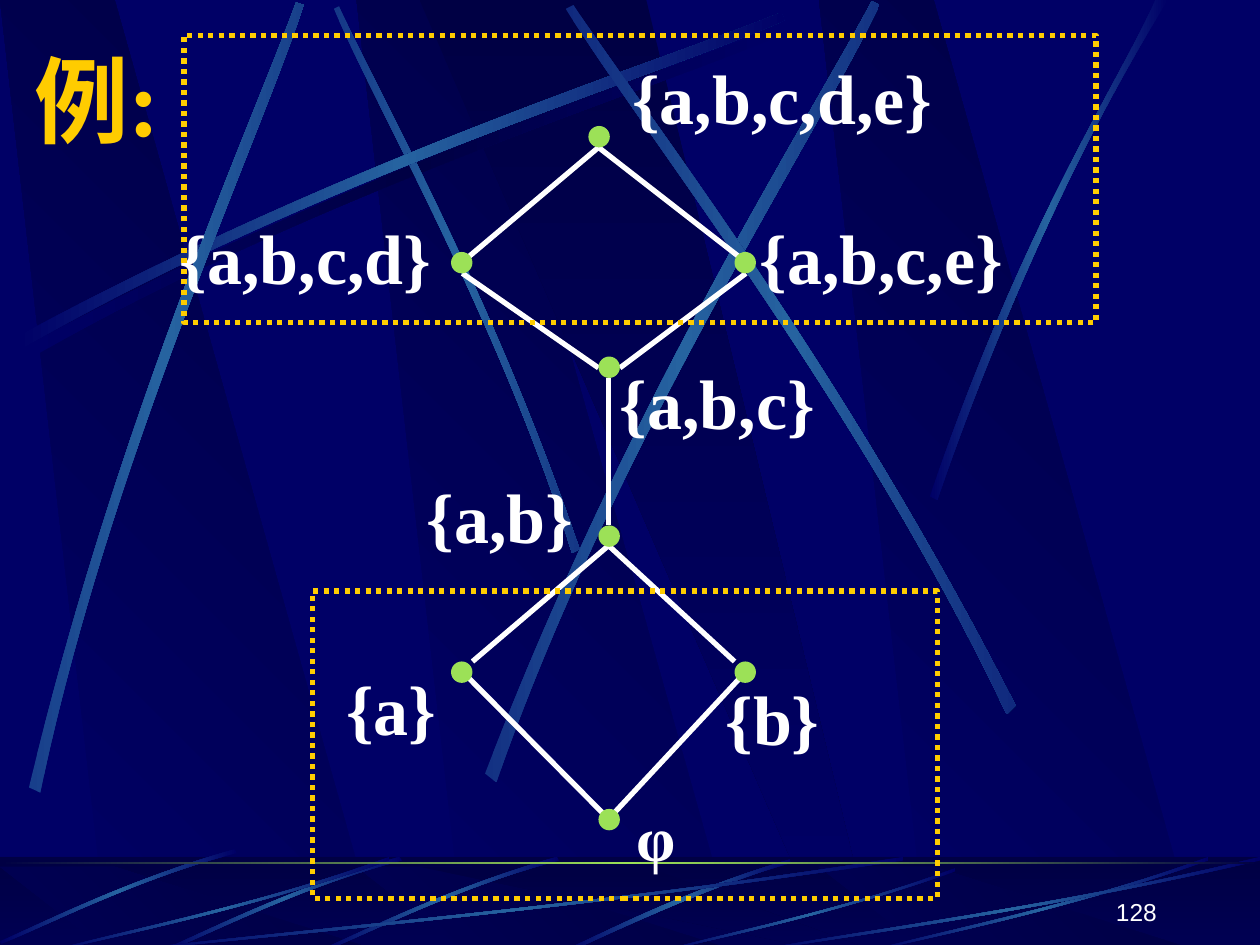
import pptx
import pptx.util
from lxml import etree
from pptx.dml.color import RGBColor
from pptx.enum.dml import MSO_LINE
from pptx.enum.shapes import MSO_CONNECTOR, MSO_SHAPE
from pptx.enum.text import MSO_ANCHOR, PP_ALIGN
from pptx.oxml.ns import qn
from pptx.util import Inches, Pt

NAVY = RGBColor(0x00, 0x00, 0x66)
DARK = RGBColor(0x00, 0x00, 0x44)
BLUE = RGBColor(0x26, 0x63, 0xA0)
GREEN = RGBColor(0x9C, 0xE1, 0x57)
GOLD = RGBColor(0xFF, 0xCC, 0x00)
WHITE = RGBColor(0xFF, 0xFF, 0xFF)

DOT = 0.17
NODES = [(4.67, 1), (3.58, 2), (5.83, 2), (4.75, 2.83), (4.75, 4.17),
         (3.58, 5.25), (5.83, 5.25), (4.75, 6.42)]
EDGES = [(4.75, 1.17, 3.67, 2.08), (4.75, 1.17, 5.92, 2.08),
         (3.67, 2.17, 4.75, 2.92), (5.92, 2.17, 4.92, 2.92),
         (4.83, 3, 4.83, 4.17),
         (4.83, 4.33, 3.75, 5.25), (4.83, 4.33, 5.83, 5.25),
         (3.67, 5.33, 4.83, 6.5), (5.92, 5.33, 4.83, 6.5)]
# text, left, top, width, height, size
LABELS = [("{a,b,c,d,e}", 4.92, 0.25, 2.68, 0.9, 40),
          ("{a,b,c,d}", 1.33, 1.52, 2.3, 0.9, 40),
          ("{a,b,c,e}", 5.93, 1.52, 2.23, 0.9, 40),
          ("{a,b,c}", 4.82, 2.67, 1.85, 0.9, 40),
          ("{a,b}", 3.29, 3.58, 1.46, 0.9, 40),
          ("{a}", 2.65, 5.1, 1.01, 0.9, 40),
          ("{b}", 5.66, 5.18, 1.05, 0.9, 40),
          ("φ", 4.95, 6.17, 0.46, 0.82, 36)]
FRAMES = [(2.48, 4.69, 4.96, 2.44), (1.46, 0.28, 7.24, 2.28)]

# Beams: x and share of the height for each corner
BEAM = [(0.86, 1), (3.02, 1), (0.91, 0), (0, 0)]
WEDGE = [(3.33, 0), (6.58, 1), (6.94, 1), (5.13, 0)]
BEAM_X = [2.83, 0, 6.5]

# Streaks: two cubic curves (there and back), left and width of the colour span
ARC = [(0.14, 2.67), (2.78, 1.25), (5.18, 0.51), (6.2, 0.1),
       (6.23, 0.16), (5.22, 0.61), (2.48, 1.43), (0.17, 2.77)]
SHADE = [(x + 0.06, y + 0.08) for x, y in ARC]
STREAKS = [
    ([(4.6, 4.36), (3.91, 2.34), (3.02, 0.77), (2.69, 0.05),
      (2.65, 0.07), (2.95, 0.79), (3.98, 2.58), (4.54, 4.39)], 1.41, 4.42),
    (ARC, 0.14, 6.08),
    ([(0.23, 6.25), (0.93, 3.34), (1.97, 1.05), (2.35, 0.02),
      (2.41, 0.04), (2.07, 1.09), (0.86, 3.68), (0.32, 6.29)], -1.71, 6.08),
    ([(3.85, 6.14), (4.98, 3.2), (6.38, 1.02), (6.92, 0.01),
      (6.98, 0.04), (6.49, 1.08), (4.86, 3.55), (3.94, 6.21)], 2.31, 6.24),
    ([(8.06, 5.6), (6.7, 2.93), (5.16, 0.95), (4.55, 0.04),
      (4.49, 0.07), (5.07, 1.01), (6.85, 3.25), (7.99, 5.67)], 3.23, 6.08),
    ([(7.38, 3.94), (8.14, 1.73), (8.88, 0.66), (9.17, 0),
      (9.27, 0), (8.36, 1.45), (7.69, 3.22), (7.44, 3.97)], 7.38, 1.89),
]
STEEP = [(6.27, 6.82), (5.37, 7.09), (4.77, 7.42), (4.48, 7.54),
         (4.53, 7.55), (4.9, 7.38), (5.71, 7), (6.28, 6.85)]
BENT = [(4.42, 6.8), (3.55, 7.05), (2.87, 7.4), (2.56, 7.53),
        (2.57, 7.55), (2.88, 7.43), (3.65, 7.03), (4.44, 6.83)]
BENT_BY = [(0, 0), (-1.25, 0), (-2.56, -0.06)]
# Unit curve of the flat floor streaks, then left, top, width, height of each
FLAT = [(1, 0.04), (0.57, 0.57), (0.17, 0.85), (0, 1),
        (0, 0.99), (0.17, 0.81), (0.62, 0.51), (1, 0)]
FLAT_AT = [(1, 6.8, 6.17, 0.75), (0.42, 6.8, 2.67, 0.75), (5.27, 6.89, 2.31, 0.66),
           (6.92, 6.8, 2.67, 0.75), (6, 6.8, 4, 0.75)]

deck = pptx.Presentation()
deck.slide_width, deck.slide_height = Inches(10), Inches(7.5)
layout = deck.slide_layouts[5]
slide = deck.slides.add_slide(layout)
slide.background.fill.solid()
slide.background.fill.fore_color.rgb = NAVY
shapes = slide.shapes
title = shapes.title


def plain(shape, color=None):
    shape.shadow.inherit = False
    shape.line.fill.background()
    if color is None:
        shape.fill.background()
    else:
        shape.fill.solid()
        shape.fill.fore_color.rgb = color
    return shape


def blend(shape, stops, angle=0):
    """Fill with a gradient of (percent, colour) stops, angle clockwise."""
    shape.fill.gradient()
    shape.fill.gradient_angle = (360 - angle) % 360
    ramp = shape.element.spPr.find(qn("a:gradFill")).find(qn("a:gsLst"))
    for old in list(ramp):
        ramp.remove(old)
    for pos, color in stops:
        stop = etree.SubElement(ramp, qn("a:gs"), pos=str(round(pos * 1000)))
        etree.SubElement(stop, qn("a:srgbClr"), val=str(color))


def add(kind, left, top, width, height, color=None):
    box = shapes.add_shape(kind, Inches(left), Inches(top), Inches(width), Inches(height))
    return plain(box, color)


def outline(points):
    points = [(Inches(x), Inches(y)) for x, y in points]
    path = shapes.build_freeform(*points[0])
    path.add_line_segments(points[1:], close=True)
    return plain(path.convert_to_shape())


def bend(shape):
    """Turn the two long sides of an eight-point outline into cubic curves."""
    sides = list(shape.element.spPr.iter(qn("a:lnTo")))
    for first, *rest in (sides[:3], sides[4:7]):
        first.tag = qn("a:cubicBezTo")
        for side in rest:
            first.append(side[0])
            side.getparent().remove(side)
    return shape


def streak(points, left=None, width=None, core=BLUE):
    """Ribbon, brightest at the middle of its colour span."""
    low, high = min(x for x, y in points), max(x for x, y in points)
    if left is None:
        left, width = low, high - low
    mid = left + width / 2

    def tint(x):
        part = max(0, 1 - abs(x - mid) / (width / 2))
        return RGBColor(*(round(a + (b - a) * part) for a, b in zip(NAVY, core)))

    spots = [low] + [mid] * (low < mid < high) + [high]
    blend(bend(outline(points)), [((x - low) / (high - low) * 100, tint(x)) for x in spots])


def beams(top, bottom):
    def place(corners, dx=0):
        return outline([(x + dx, top + (bottom - top) * y) for x, y in corners])
    for dx in BEAM_X:
        blend(place(BEAM, dx), [(0, NAVY), (100, DARK)], 315)
    blend(place(WEDGE), [(0, DARK), (100, NAVY)], 90)


def write(frame, text, size, color=WHITE, font="Times New Roman", bold=True,
          align=PP_ALIGN.LEFT, anchor=MSO_ANCHOR.TOP, wrap=True, space=None, before=None):
    frame.word_wrap, frame.vertical_anchor = wrap, anchor
    para = frame.paragraphs[0]
    para.alignment, para.line_spacing, para.space_before = align, space, before
    run = para.add_run()
    run.text = text
    run.font.size, run.font.name, run.font.bold = Pt(size), font, bold
    run.font.color.rgb = color


def textbox(left, top, width, height, *words, **style):
    box = shapes.add_textbox(Inches(left), Inches(top), Inches(width), Inches(height))
    write(box.text_frame, *words, **style)


# Backdrop
beams(0, 7.52)
streak(SHADE, core=DARK)
for item in STREAKS:
    streak(*item)
blend(add(MSO_SHAPE.RECTANGLE, 0, 6.8, 10, 0.75), [(0, DARK), (100, NAVY)], 90)
beams(6.88, 7.55)
veil = add(MSO_SHAPE.RECTANGLE, 0, 6.8, 10, 0.75, DARK)
tone = veil.element.spPr.find(qn("a:solidFill"))[0]
etree.SubElement(tone, qn("a:alpha"), val="50000")
streak(STEEP)
for dx, dy in BENT_BY:
    streak([(x + dx, y + dy) for x, y in BENT])
for left, top, width, height in FLAT_AT:
    streak([(left + x * width, top + y * height) for x, y in FLAT])
blend(add(MSO_SHAPE.RECTANGLE, 0, 6.84, 10, 0.02), [(0, DARK), (50, GREEN), (100, DARK)])

# The backdrop belongs to the layout, in place of its footer fields
for field in list(layout.placeholders)[1:]:
    layout.shapes.element.remove(field.element)
for part in list(shapes)[1:]:
    layout.shapes.element.append(part.element)

title.left, title.top, title.width, title.height = map(Inches, (0.17, 0.28, 9.5, 1))
write(title.text_frame, "例:", 54, color=GOLD, anchor=MSO_ANCHOR.MIDDLE)

# Hasse diagram
for ends in EDGES:
    edge = shapes.add_connector(MSO_CONNECTOR.STRAIGHT, *map(Inches, ends))
    edge.line.color.rgb, edge.line.width = WHITE, Pt(3)
    etree.SubElement(edge.element.spPr, qn("a:effectLst"))
for left, top in NODES:
    add(MSO_SHAPE.OVAL, left, top, DOT, DOT, GREEN)
for text, left, top, width, height, size in LABELS:
    textbox(left, top, width, height, text, size, wrap=False, space=1.2, before=Pt(size / 10))
for place in FRAMES:
    frame = add(MSO_SHAPE.RECTANGLE, *place)
    frame.line.color.rgb, frame.line.width = GOLD, Pt(3)
    frame.line.dash_style = MSO_LINE.ROUND_DOT

textbox(7.2, 6.9, 2.08, 0.5, "128", 14, font="Arial", bold=False,
        align=PP_ALIGN.RIGHT, anchor=MSO_ANCHOR.BOTTOM)
deck.save("out.pptx")
